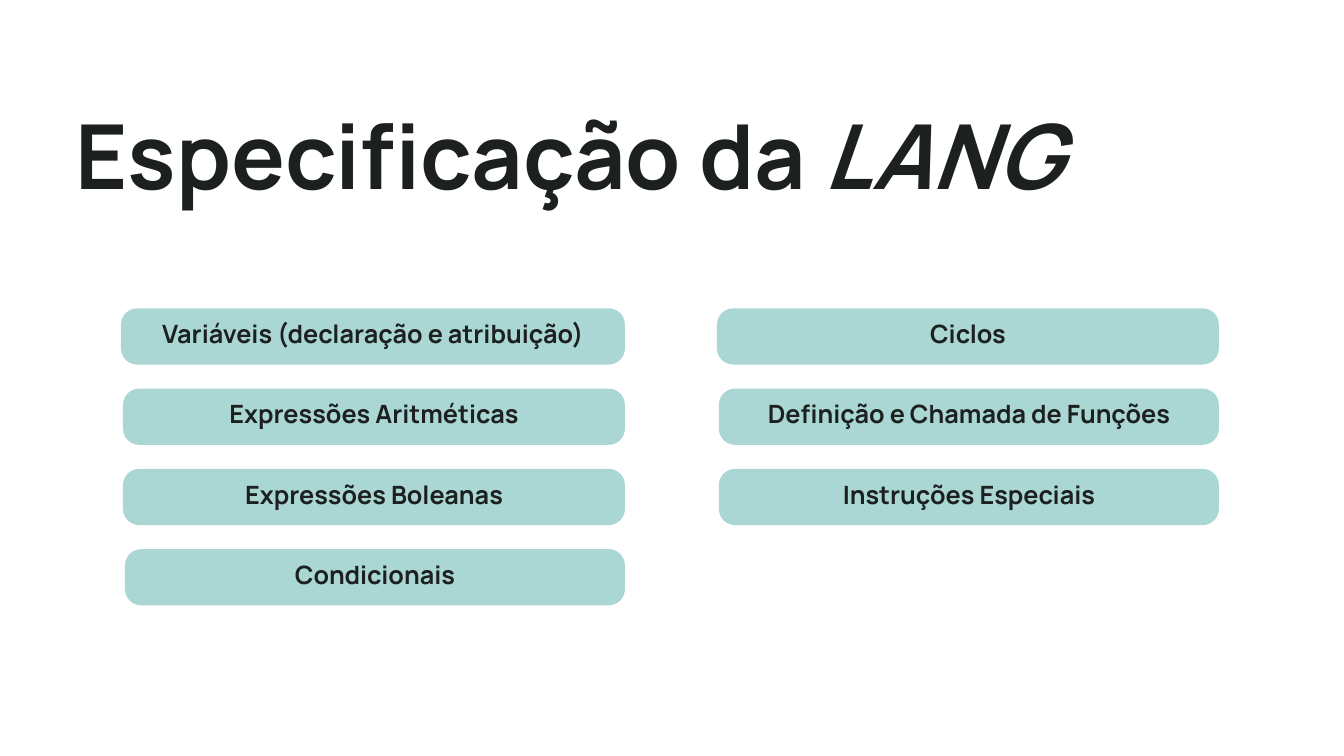
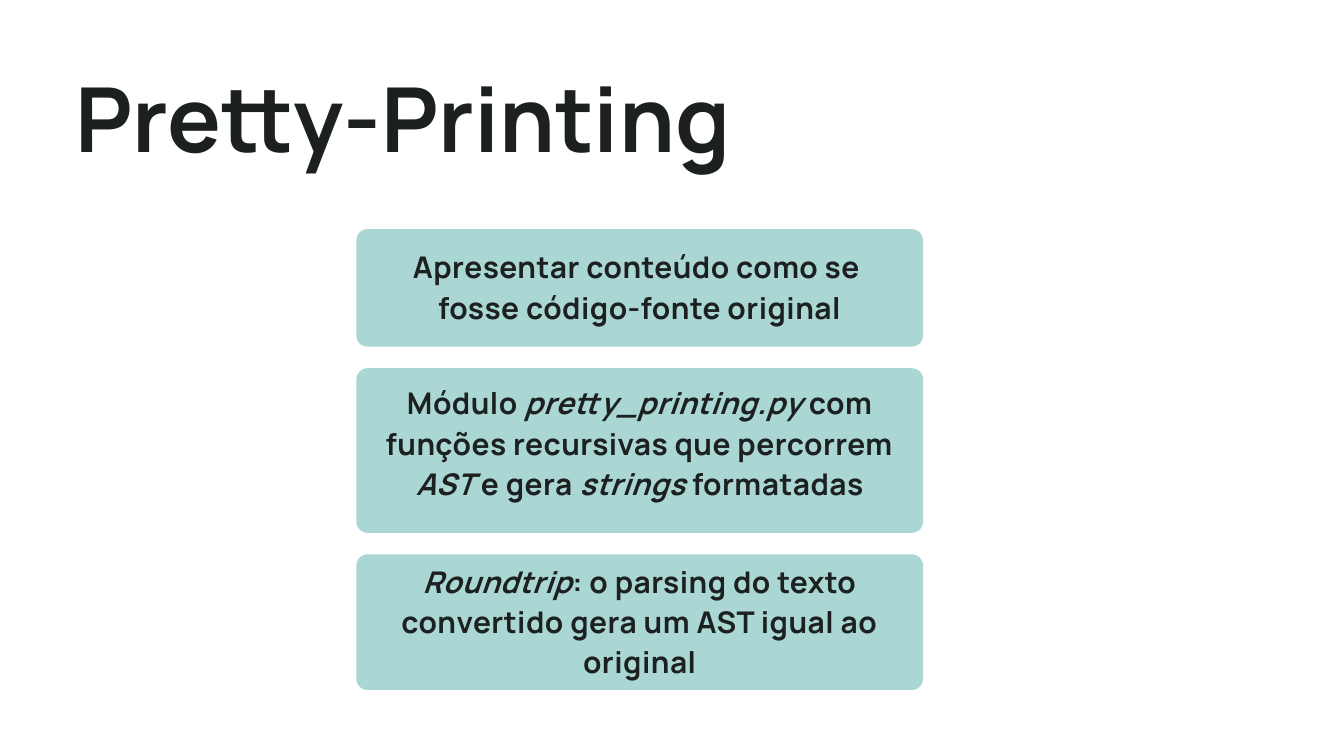
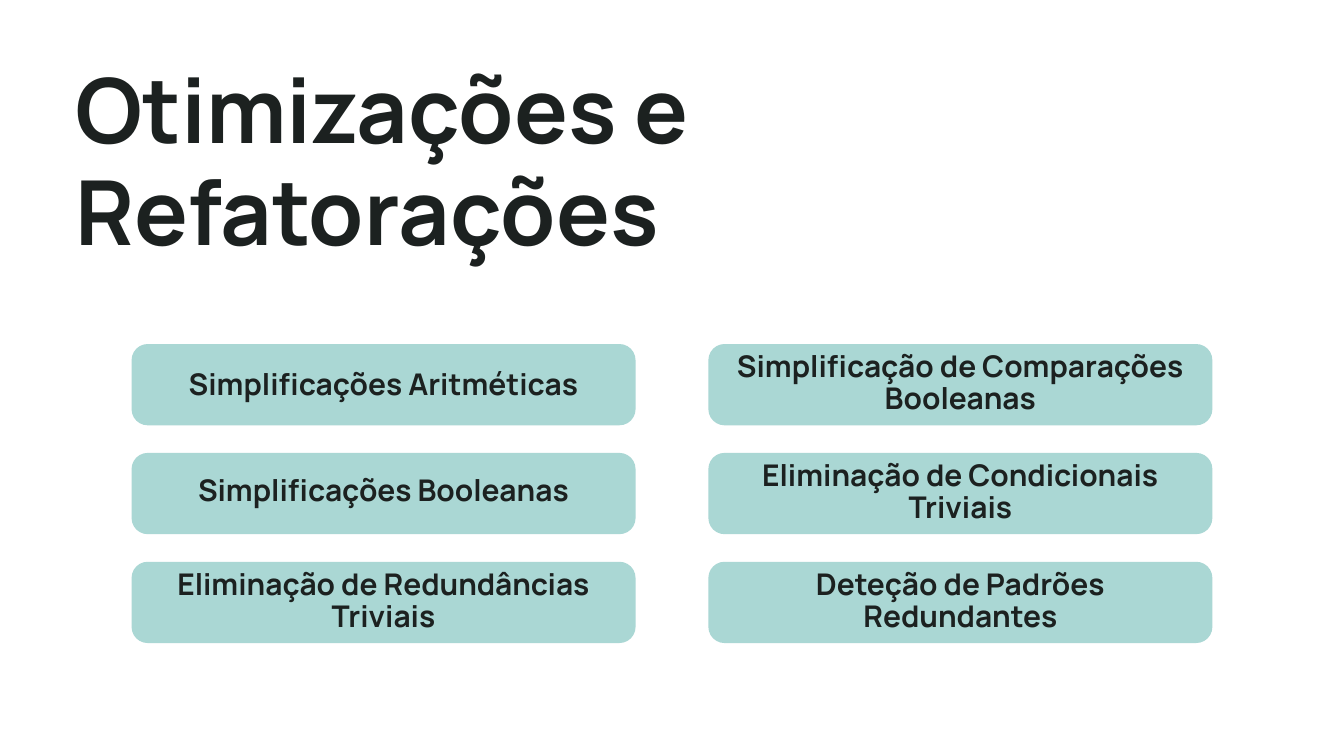
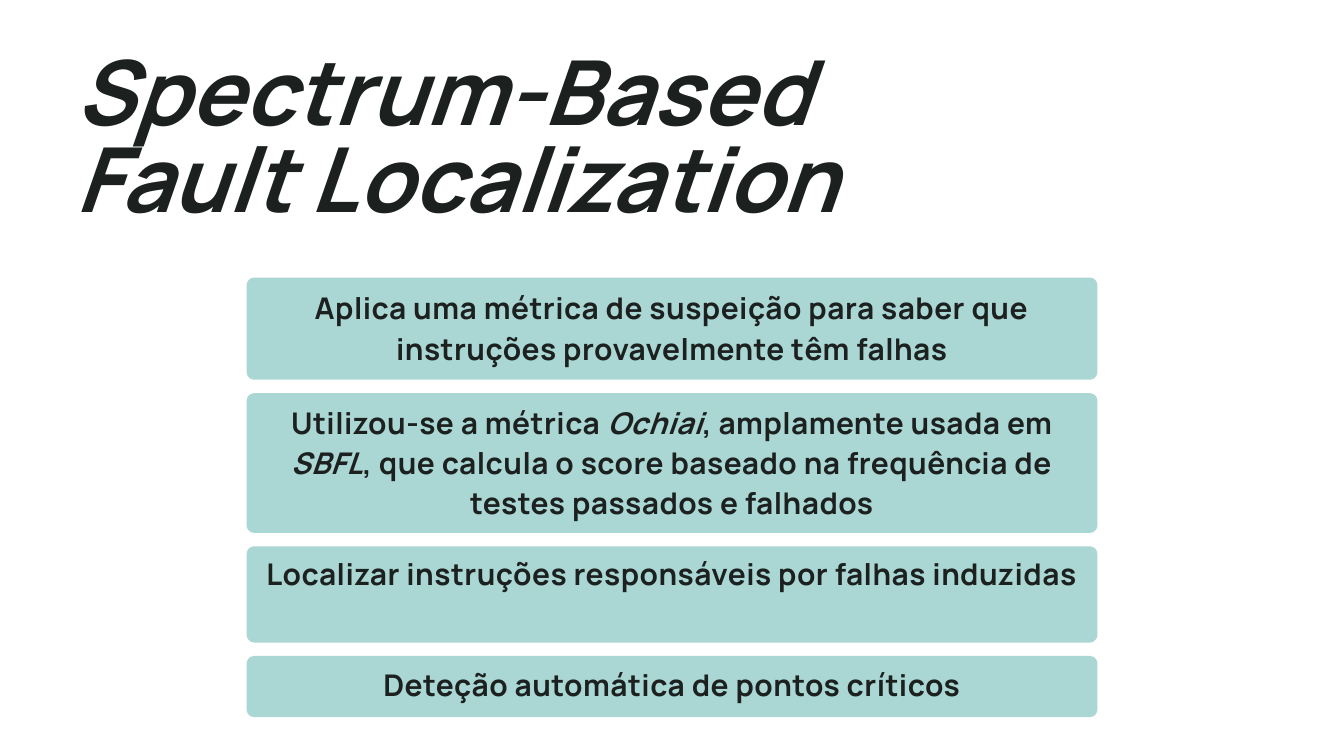
from pptx import Presentation
from pptx.dml.color import RGBColor
from pptx.enum.shapes import MSO_SHAPE
from pptx.enum.text import MSO_AUTO_SIZE, PP_ALIGN
from pptx.util import Pt


def color(hex_code):
    return RGBColor.from_string(hex_code)


class Deck:
    FONT = "Manrope"
    INK = "1C2120"
    TEAL = "AAD7D4"
    TITLE_LEFT = 80.64

    def __init__(self):
        self.presentation = Presentation()
        self.presentation.slide_width = Pt(1440)
        self.presentation.slide_height = Pt(810)
        self.slide = None

    def new_slide(self):
        self.slide = self.presentation.slides.add_slide(self.presentation.slide_layouts[6])

    def text(self, content, left, top, width, height, size, leading,
             align=PP_ALIGN.CENTER, tracking=0):
        """Asterisks enclose italics; each line becomes a paragraph."""
        box = self.slide.shapes.add_textbox(Pt(left), Pt(top), Pt(width), Pt(height))
        frame = box.text_frame
        frame.word_wrap = True
        frame.auto_size = MSO_AUTO_SIZE.SHAPE_TO_FIT_TEXT
        frame.margin_left = frame.margin_right = frame.margin_top = frame.margin_bottom = 0
        for number, line in enumerate(content.split("\n")):
            paragraph = frame.add_paragraph() if number else frame.paragraphs[0]
            paragraph.alignment = align
            paragraph.line_spacing = Pt(leading)
            paragraph.font.name = self.FONT
            paragraph.font.size = Pt(size)
            paragraph.font.bold = True
            paragraph.font.color.rgb = color(self.INK)
            if tracking:
                paragraph._p.get_or_add_pPr().get_or_add_defRPr().set("spc", str(tracking))
            for position, piece in enumerate(line.split("*")):
                if piece:
                    run = paragraph.add_run()
                    run.text = piece
                    if position % 2:
                        run.font.italic = True

    def title(self, content, top, width, height, leading=109.4):
        self.text(content, self.TITLE_LEFT, top, width, height, 96, leading, PP_ALIGN.LEFT)

    def panel(self, left, top, width, height, radius):
        panel = self.slide.shapes.add_shape(
            MSO_SHAPE.ROUNDED_RECTANGLE, Pt(left), Pt(top), Pt(width), Pt(height))
        panel.adjustments[0] = radius / min(width, height)
        panel.shadow.inherit = False
        panel.fill.solid()
        panel.fill.fore_color.rgb = color(self.TEAL)
        panel.line.fill.background()

    def label(self, content, left, top, width, height, label_width, label_offset,
              label_height, size, leading):
        self.panel(left, top, width, height, 17.3)
        self.text(content, left + (width - label_width) / 2, top + label_offset,
                  label_width, label_height, size, leading)

    def stack(self, left, top, width, gap, radius, statements):
        for content, height, offset, lines, inset in statements:
            self.panel(left, top, width, height, radius)
            self.text(content, left + inset, top + offset, width - 2 * inset, lines * 43.2,
                      32, 43.2, tracking=50)
            top += height + gap


def specification(deck):
    deck.new_slide()
    deck.title("Especificação da *LANG*", 113, 1194.5, 117.4)
    columns = [
        (669.6, [("Variáveis (declaração e atribuição)", 129.6, 512),
                 ("Expressões Aritméticas", 131.8, 381),
                 ("Expressões Boleanas", 131.8, 429),
                 ("Condicionais", 133.9, 356)]),
        (1306, [("Ciclos", 768.2, 274.3),
                ("Definição e Chamada de Funções", 770.2, 482.4),
                ("Instruções Especiais", 770.2, 400.3)]),
    ]
    for right, topics in columns:
        for row, (topic, left, label_width) in enumerate(topics):
            deck.label(topic, left, 330.4 + row * 86, right - left, 60.2,
                       label_width, 14.2, 31.7, 27, 29.1)


def pretty_printing(deck):
    deck.new_slide()
    deck.stack(381.8, 245.5, 607.2, 23, 12, [
        ("Apresentar conteúdo como se \nfosse código-fonte original", 126, 16.6, 2, 0),
        ("Módulo* pretty_printing.py* com funções recursivas que percorrem *AST* e gera "
         "*strings* formatadas", 176.4, 13.3, 3, 0),
        ("*Roundtrip*: o parsing do texto convertido gera um AST igual ao original",
         145.4, 5, 3, 0),
    ])
    deck.title("Pretty-Printing", 90, 957.6, 105.8, 93.1)


def optimizations(deck):
    deck.new_slide()
    deck.title("Otimizações e Refatorações", 63.4, 789.1, 226)
    columns = [
        (141, [("Simplificações Aritméticas", 26.6, 37.4),
               ("Simplificações Booleanas", 23.8, 37.4),
               ("Eliminação de Redundâncias Triviais", 7.9, 72)]),
        (759, [("Simplificação de Comparações Booleanas", 7.9, 72),
               ("Eliminação de Condicionais Triviais", 7.9, 72),
               ("Deteção de Padrões Redundantes", 7.9, 72)]),
    ]
    for left, topics in columns:
        for row, (topic, offset, label_height) in enumerate(topics):
            deck.label(topic, left, 368.6 + row * 116.64, 540, 87.1,
                       512, offset, label_height, 32, 34.6)


def fault_localization(deck):
    deck.new_slide()
    deck.stack(264.3, 297.4, 911.5, 14.4, 7.9, [
        ("Aplica uma métrica de suspeição para saber que instruções provavelmente têm falhas",
         109.4, 8.6, 2, 0),
        ("Utilizou-se a métrica *Ochiai*, amplamente usada em *SBFL*, que calcula o score "
         "baseado na frequência de testes passados e falhados", 149.8, 7.2, 3, 28),
        ("Localizar instruções responsáveis por falhas induzidas", 103, 5, 2, 0),
        ("Deteção automática de pontos críticos", 65.6, 7.2, 1, 0),
    ])
    deck.title("*Spectrum-Based Fault Localization*", 60.5, 900, 199.4, 93.1)


def main():
    deck = Deck()
    for build in (specification, pretty_printing, optimizations, fault_localization):
        build(deck)
    deck.presentation.save("out.pptx")


if __name__ == "__main__":
    main()
